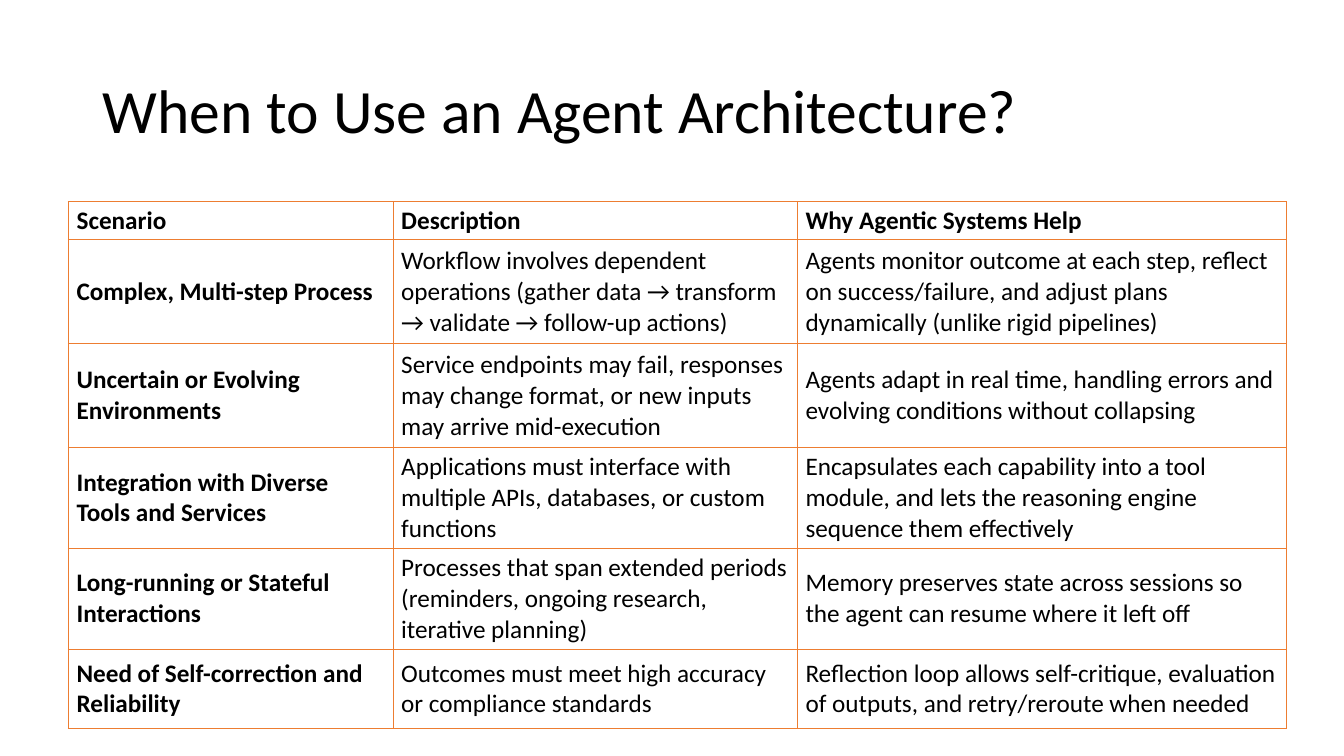
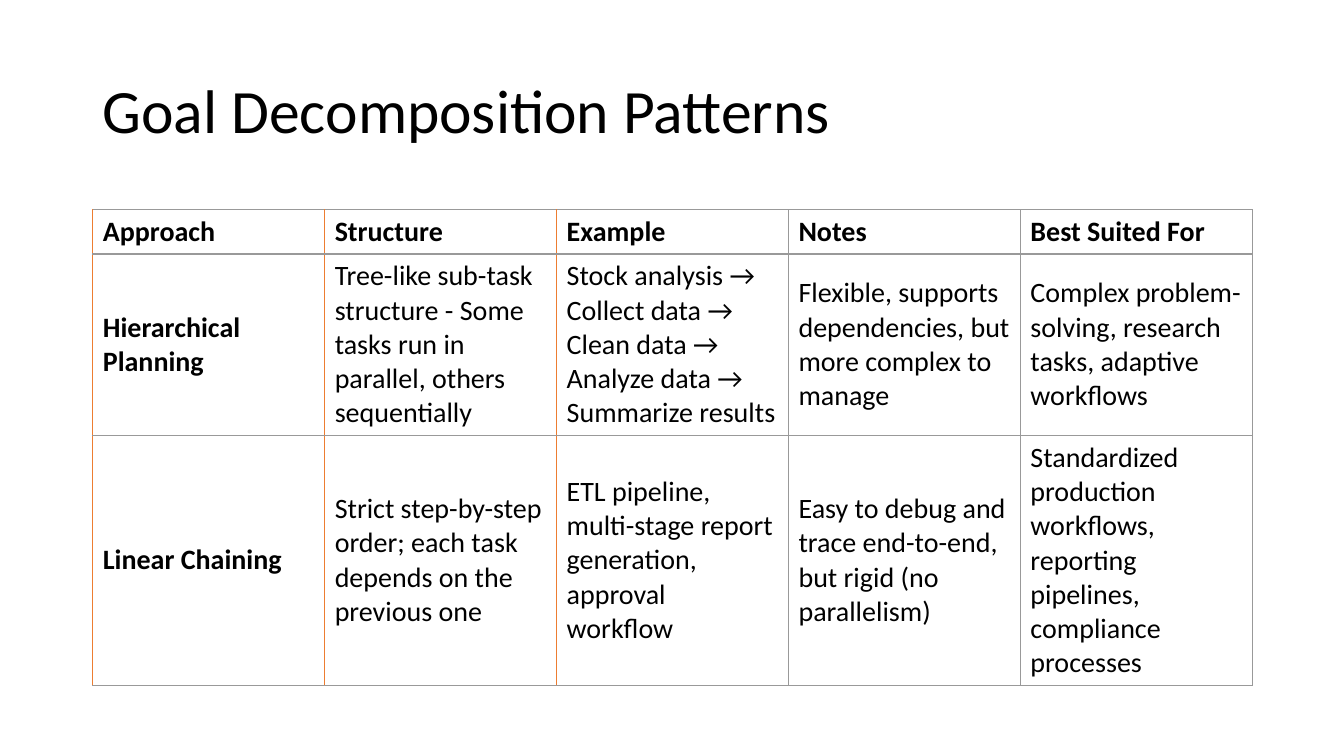
import pptx
import pptx.dml.color
import pptx.enum.text
import pptx.oxml.ns
import pptx.util
from lxml import etree

Inches = pptx.util.Inches
Pt = pptx.util.Pt
MIDDLE = pptx.enum.text.MSO_ANCHOR.MIDDLE

FONT = "Calibri"
BLACK = "000000"
ORANGE = "ED7D31"
GREY = "999999"

SCENARIOS = [
    ["Scenario", "Description", "Why Agentic Systems Help"],
    ["Complex, Multi-step Process",
     "Workflow involves dependent operations (gather data → transform → validate → follow-up actions)",
     "Agents monitor outcome at each step, reflect on success/failure, and adjust plans dynamically (unlike rigid pipelines)"],
    ["Uncertain or Evolving Environments",
     "Service endpoints may fail, responses may change format, or new inputs may arrive mid-execution",
     "Agents adapt in real time, handling errors and evolving conditions without collapsing"],
    ["Integration with Diverse Tools and Services",
     "Applications must interface with multiple APIs, databases, or custom functions",
     "Encapsulates each capability into a tool module, and lets the reasoning engine sequence them effectively"],
    ["Long-running or Stateful Interactions",
     "Processes that span extended periods (reminders, ongoing research, iterative planning)",
     "Memory preserves state across sessions so the agent can resume where it left off"],
    ["Need of Self-correction and Reliability",
     "Outcomes must meet high accuracy or compliance standards",
     "Reflection loop allows self-critique, evaluation of outputs, and retry/reroute when needed"],
]

PATTERNS = [
    ["Approach", "Structure", "Example", "Notes", "Best Suited For"],
    ["Hierarchical Planning",
     "Tree-like sub-task structure - Some tasks run in parallel, others sequentially",
     "Stock analysis → Collect data → Clean data → Analyze data → Summarize results",
     "Flexible, supports dependencies, but more complex to manage",
     "Complex problem-solving, research tasks, adaptive workflows"],
    ["Linear Chaining",
     "Strict step-by-step order; each task depends on the previous one",
     "ETL pipeline, multi-stage report generation, approval workflow",
     "Easy to debug and trace end-to-end, but rigid (no parallelism)",
     "Standardized production workflows, reporting pipelines, compliance processes"],
]


def color(value):
    return pptx.dml.color.RGBColor.from_string(value)


def add_span(para, text, size, bold=False):
    span = para.add_run()
    span.text = text
    span.font.name = FONT
    span.font.size = Pt(size)
    span.font.bold = bold
    span.font.color.rgb = color(BLACK)


def add_titled_page(deck, title):
    page = deck.slides.add_slide(deck.slide_layouts[6])
    box = page.shapes.add_textbox(Inches(0.92), Inches(0.4), Inches(11.5), Inches(1.45))
    frame = box.text_frame
    frame.word_wrap = True
    frame.vertical_anchor = MIDDLE
    para = frame.paragraphs[0]
    para.line_spacing = 0.9
    add_span(para, title, 44)
    return page


def set_borders(cell, **edges):
    properties = cell._tc.get_or_add_tcPr()
    qn = pptx.oxml.ns.qn
    for side in "LRTB":
        line = etree.SubElement(properties, qn(f"a:ln{side}"), w=str(Pt(1)))
        fill = etree.SubElement(line, qn("a:solidFill"))
        etree.SubElement(fill, qn("a:srgbClr"), val=edges[side])


def add_grid(page, left, top, widths, heights, texts, size, inset, vertical_colors, horizontal_color):
    frame = page.shapes.add_table(
        len(heights), len(widths), Inches(left), Inches(top),
        Inches(sum(widths)), Inches(sum(heights)))
    table = frame.table
    table.first_row = False
    table.horz_banding = False
    for column, width in zip(table.columns, widths):
        column.width = Inches(width)
    for row, height in zip(table.rows, heights):
        row.height = Inches(height)
    for row_index, row_texts in enumerate(texts):
        for column_index, text in enumerate(row_texts):
            cell = table.cell(row_index, column_index)
            cell.vertical_anchor = MIDDLE
            cell.margin_left = cell.margin_right = Inches(inset)
            cell.margin_top = cell.margin_bottom = Inches(inset / 2)
            set_borders(cell, L=vertical_colors[column_index], R=vertical_colors[column_index + 1],
                        T=horizontal_color, B=horizontal_color)
            cell.fill.background()
            is_heading = row_index == 0 or column_index == 0
            add_span(cell.text_frame.paragraphs[0], text, size, is_heading)


def main():
    deck = pptx.Presentation()
    deck.slide_width = Inches(13.33)
    deck.slide_height = Inches(7.5)

    page = add_titled_page(deck, "When to Use an Agent Architecture?")
    add_grid(page, 0.68, 2, [3.22, 4.01, 4.85], [0.38, 1.03, 1.03, 1, 1, 0.79],
             SCENARIOS, 18, 0.08, [ORANGE] * 4, ORANGE)

    page = add_titled_page(deck, "Goal Decomposition Patterns")
    add_grid(page, 0.92, 2.08, [2.3] * 5, [0.44, 1.8, 2.48],
             PATTERNS, 20, 0.1, [ORANGE] * 3 + [GREY] * 3, GREY)

    deck.save("out.pptx")


if __name__ == "__main__":
    main()
